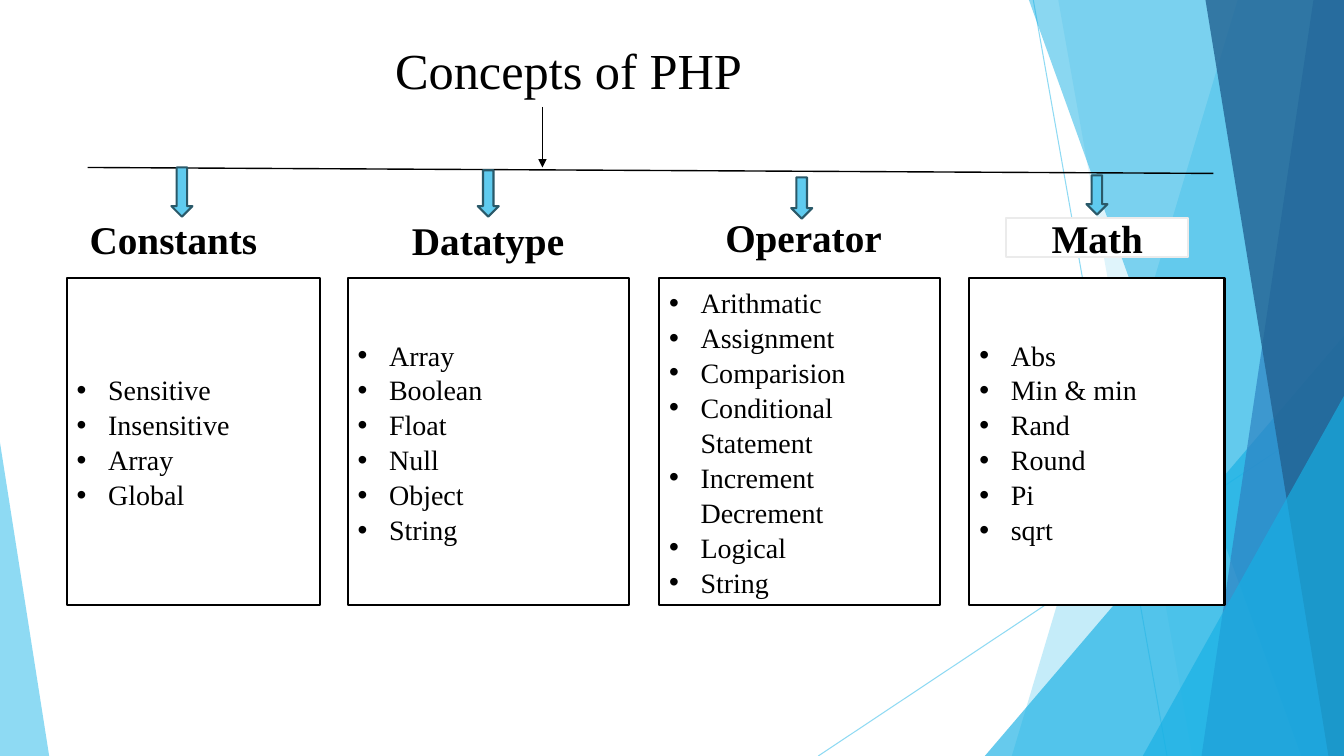
from lxml import etree
from pptx import Presentation
from pptx import util as u
from pptx.dml.color import RGBColor
from pptx.enum import shapes, text
from pptx.oxml.ns import qn

WIDTH, HEIGHT = 33.87, 19.05
FONT = "Times New Roman"
COLORS = {
    "black": "000000", "white": "FFFFFF", "gray": "EBEBEB", "sky": "5FCBEF",
    "cyan": "17B0E4", "blue": "2E83C3", "navy": "226292", "teal": "2A5969",
}
FACETS = [
    ("band", (31.19, 25.5), "sky", 36),
    ("band", (26.67, 30.05), "sky", 20),
    ("triangle", (24.82, 8.46, 9.05, 10.59, 1), "cyan", 66),
    ("band", (25.93, 32.79), "cyan", 50),
    ("band", (33.1, 30.28), "blue", 70),
    ("band", (30.38, 33.48), "navy", 80),
    ("triangle", (28.8, 9.98, 5.07, 9.07, 1), "cyan", 66),
    ("triangle", (0, 11.15, 1.24, 7.9, 0), "sky", 70),
]
CONCEPTS = [
    {"name": "Constants", "heading": (1.65, 5.49, 5.44, 1.04), "outline": "white",
     "arrow": (4.32, 4.22, 0.53, 1.24), "list": (1.68, 6.38),
     "items": ["Sensitive", "Insensitive", "Array", "Global"]},
    {"name": "Datatype", "heading": (9.58, 5.54, 5.44, 0.99), "outline": "white",
     "arrow": (12.04, 4.29, 0.53, 1.17), "list": (8.76, 7.09),
     "items": ["Array", "Boolean", "Float", "Null", "Object", "String"]},
    {"name": "Operator", "heading": (17.53, 5.46, 5.44, 1.04), "outline": "white",
     "arrow": (19.94, 4.47, 0.53, 1.04), "list": (16.61, 7.09),
     "items": ["Arithmatic", "Assignment", "Comparision", "Conditional Statement",
               "Increment Decrement", "Logical", "String"]},
    {"name": "Math", "heading": (25.35, 5.49, 4.6, 0.99), "outline": "gray",
     "arrow": (27.38, 4.42, 0.53, 0.99), "list": (24.43, 6.43),
     "items": ["Abs", "Min & min", "Rand", "Round", "Pi", "sqrt"]},
]


def rgb(name):
    return RGBColor.from_string(COLORS[name])


def lengths(values):
    return [u.Cm(value) for value in values]


def place(shape, *bounds):
    shape.left, shape.top, shape.width, shape.height = lengths(bounds)


def paint(shape, fill, outline=None):
    shape.shadow.inherit = False
    shape.fill.solid()
    shape.fill.fore_color.rgb = rgb(fill)
    if outline:
        shape.line.color.rgb = rgb(outline)
        shape.line.width = u.Pt(1.5)
    else:
        shape.line.fill.background()


def set_opacity(shape, percent):
    for color in shape.element.iter(qn("a:srgbClr")):
        etree.SubElement(color, qn("a:alpha"), val=str(percent * 1000))


def prepare_frame(shape):
    frame = shape.text_frame
    frame.word_wrap = True
    frame.auto_size = text.MSO_AUTO_SIZE.NONE
    frame.vertical_anchor = text.MSO_ANCHOR.MIDDLE
    return frame


def write(para, words, size, bold=False, align=text.PP_ALIGN.CENTER):
    para.alignment = align
    span = para.add_run()
    span.text = words
    span.font.name = FONT
    span.font.size = u.Pt(size)
    span.font.bold = bold
    span.font.color.rgb = rgb("black")


def add_line(parent, start, end, color="black", weight=1, arrow=False):
    line = parent.add_connector(shapes.MSO_CONNECTOR.STRAIGHT, *lengths(start + end))
    line.line.color.rgb = rgb(color)
    line.line.width = u.Pt(weight)
    if arrow:
        etree.SubElement(line.line._get_or_add_ln(), qn("a:tailEnd"), type="triangle")
    etree.SubElement(line.element.spPr, qn("a:effectLst"))
    return line


def add_band(parent, top_x, bottom_x):
    outline = parent.build_freeform(u.Cm(top_x), 0)
    corners = [(WIDTH, 0), (WIDTH, HEIGHT), (bottom_x, HEIGHT)]
    outline.add_line_segments([lengths(corner) for corner in corners], close=True)
    return outline.convert_to_shape()


def add_triangle(parent, left, top, width, height, apex):
    bounds = lengths((left, top, width, height))
    triangle = parent.add_shape(shapes.MSO_SHAPE.ISOSCELES_TRIANGLE, *bounds)
    triangle.adjustments[0] = apex
    return triangle


def add_facets(page):
    group = page.shapes.add_group_shape()
    for start, end in [((26.04, 0), (29.41, HEIGHT)), ((WIDTH, 10.24), (20.62, HEIGHT))]:
        set_opacity(add_line(group.shapes, start, end, "sky", 0.75), 70)
    builders = {"band": add_band, "triangle": add_triangle}
    for kind, geometry, color, opacity in FACETS:
        facet = builders[kind](group.shapes, *geometry)
        paint(facet, color)
        set_opacity(facet, opacity)
    page.shapes.element.insert(2, group.element)


def fill_title(title):
    place(title, 2.39, 0.81, 23.88, 1.85)
    write(prepare_frame(title).paragraphs[0], "Concepts of PHP", 36)


def fill_list(box, concept):
    left, width = concept["list"]
    place(box, left, 7.01, width, 8.23)
    paint(box, "white", "black")
    frame = prepare_frame(box)
    for index, item in enumerate(concept["items"]):
        para = frame.add_paragraph() if index else frame.paragraphs[0]
        write(para, item, 20, align=text.PP_ALIGN.LEFT)
        para.space_before = u.Pt(0)
        para.line_spacing = 1.04
        props = para._p.get_or_add_pPr()
        props.set("marL", str(u.Cm(0.79)))
        props.set("indent", str(-u.Cm(0.79)))
        etree.SubElement(props, qn("a:buFont"), typeface="Arial")
        etree.SubElement(props, qn("a:buChar"), char="•")


def add_heading(page, concept):
    box = page.shapes.add_shape(shapes.MSO_SHAPE.RECTANGLE, *lengths(concept["heading"]))
    paint(box, "white", concept["outline"])
    write(prepare_frame(box).paragraphs[0], concept["name"], 28, bold=True)


def add_arrow(page, bounds):
    arrow = page.shapes.add_shape(shapes.MSO_SHAPE.DOWN_ARROW, *lengths(bounds))
    paint(arrow, "sky", "teal")


def main():
    deck = Presentation()
    deck.slide_width, deck.slide_height = lengths((WIDTH, HEIGHT))
    page = deck.slides.add_slide(deck.slide_layouts.get_by_name("Comparison"))
    add_facets(page)
    title, *boxes = page.placeholders
    fill_title(title)
    stub = add_line(page.shapes, (14.33, 2.66), (14.33, 2.66), "sky", arrow=True)
    stub.begin_connect(title, 2)
    add_line(page.shapes, (13.67, 2.69), (13.67, 4.22), arrow=True)
    add_line(page.shapes, (2.21, 4.22), (30.58, 4.37))
    for box, concept in zip(boxes, CONCEPTS):
        fill_list(box, concept)
        add_heading(page, concept)
        add_arrow(page, concept["arrow"])
    deck.save("out.pptx")


if __name__ == "__main__":
    main()
